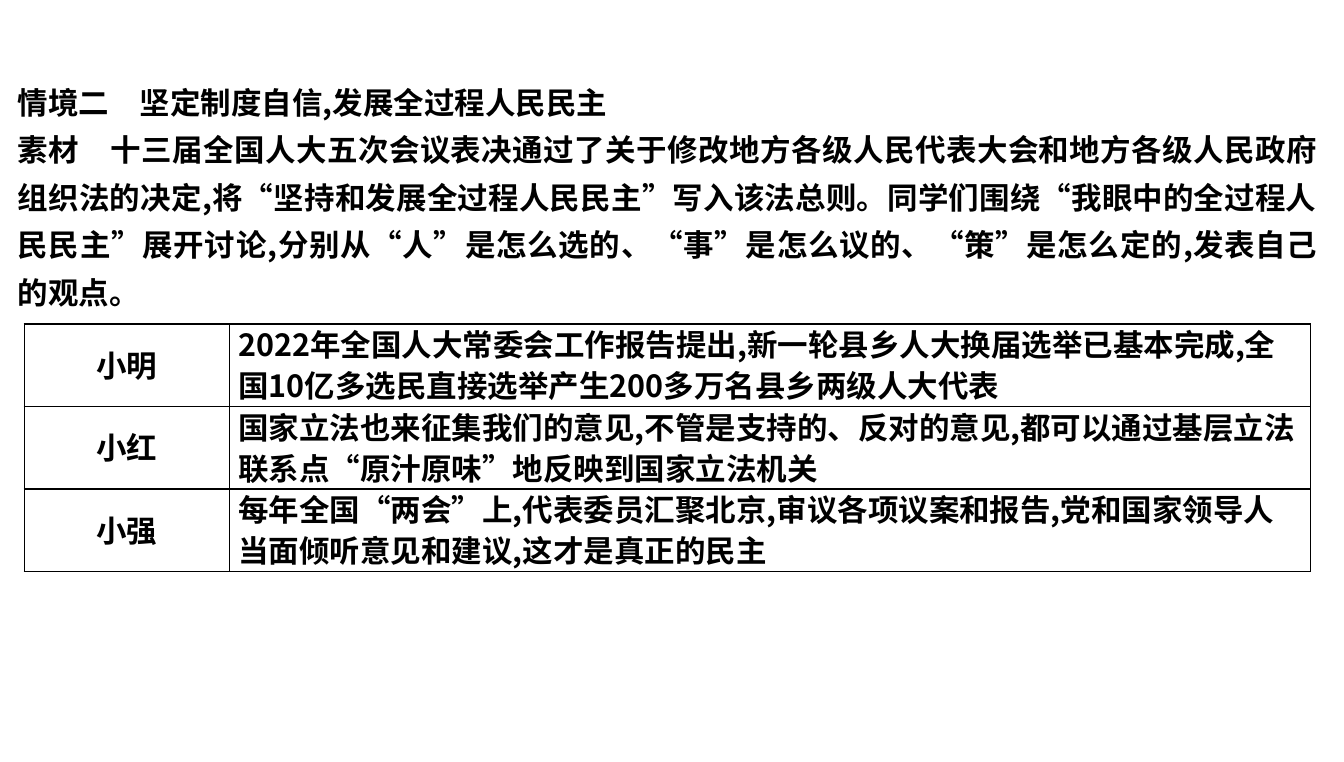
from lxml.etree import SubElement
from pptx import Presentation
from pptx.dml.color import RGBColor
from pptx.enum.text import MSO_ANCHOR as Anchor, PP_ALIGN as Align
from pptx.oxml.ns import qn
from pptx.util import Pt

HEADING = "情境二　坚定制度自信,发展全过程人民民主"
MATERIAL = (
    "素材　十三届全国人大五次会议表决通过了关于修改地方各级人民代表大会和地方各级人民政府组织法的决定,"
    "将“坚持和发展全过程人民民主”写入该法总则。同学们围绕“我眼中的全过程人民民主”展开讨论,"
    "分别从“人”是怎么选的、“事”是怎么议的、“策”是怎么定的,发表自己的观点。"
)
OPINIONS = [
    ("小明", "2022年全国人大常委会工作报告提出,新一轮县乡人大换届选举已基本完成,"
             "全国10亿多选民直接选举产生200多万名县乡两级人大代表"),
    ("小红", "国家立法也来征集我们的意见,不管是支持的、反对的意见,"
             "都可以通过基层立法联系点“原汁原味”地反映到国家立法机关"),
    ("小强", "每年全国“两会”上,代表委员汇聚北京,审议各项议案和报告,"
             "党和国家领导人当面倾听意见和建议,这才是真正的民主"),
]
COLORS = {"text": "000000", "border": "000000", "page": "FFFFFF"}
FONT = "Noto Sans CJK SC"
SLIDE_SIZE = (793.44, 450)
HEADING_BOX = (3.4, 39.5, 748, 31.7)
MATERIAL_BOX = (3.4, 67.6, 781.5, 116.6)
TABLE_LEFT, TABLE_TOP = 14.4, 191.4
COLUMN_WIDTHS = (121, 638.2)
ROW_HEIGHT = 48.7
TEXT_PITCH, TABLE_PITCH = 28, 24.3


def write(frame, words, align, pitch):
    frame.word_wrap = True
    paragraph = frame.paragraphs[0]
    paragraph.text = words
    paragraph.alignment = align
    paragraph.line_spacing = Pt(pitch)
    paragraph.space_before = Pt(0)
    font = paragraph.font
    font.size, font.bold, font.name = Pt(18), True, FONT
    font.color.rgb = RGBColor.from_string(COLORS["text"])
    defaults = paragraph._p.pPr.find(qn("a:defRPr"))
    SubElement(defaults, qn("a:ea"), typeface=FONT)


def place_text(shape, box, words, align):
    shape.left, shape.top, shape.width, shape.height = map(Pt, box)
    frame = shape.text_frame
    frame.vertical_anchor = Anchor.TOP
    frame.margin_left = frame.margin_right = Pt(7.2)
    frame.margin_top = frame.margin_bottom = Pt(3.6)
    write(frame, words, align, TEXT_PITCH)


def add_borders(cell):
    properties = cell._tc.get_or_add_tcPr()
    for side in ("lnL", "lnR", "lnT", "lnB"):
        line = SubElement(properties, qn(f"a:{side}"), w=str(Pt(1)))
        fill = SubElement(line, qn("a:solidFill"))
        SubElement(fill, qn("a:srgbClr"), val=COLORS["border"])


def add_opinions(slide):
    table = slide.shapes.add_table(
        len(OPINIONS), len(COLUMN_WIDTHS), Pt(TABLE_LEFT), Pt(TABLE_TOP),
        Pt(sum(COLUMN_WIDTHS)), Pt(ROW_HEIGHT * len(OPINIONS))).table
    table.first_row = table.horz_banding = False
    for column, width in zip(table.columns, COLUMN_WIDTHS):
        column.width = Pt(width)
    for row, opinion in zip(table.rows, OPINIONS):
        row.height = Pt(ROW_HEIGHT)
        for cell, words, align in zip(row.cells, opinion, (Align.CENTER, Align.LEFT)):
            add_borders(cell)
            cell.fill.solid()
            cell.fill.fore_color.rgb = RGBColor.from_string(COLORS["page"])
            cell.margin_left = cell.margin_right = Pt(5.4)
            cell.margin_top = cell.margin_bottom = Pt(0)
            cell.vertical_anchor = Anchor.MIDDLE
            write(cell.text_frame, words, align, TABLE_PITCH)


def main():
    deck = Presentation()
    deck.slide_width, deck.slide_height = map(Pt, SLIDE_SIZE)
    slide = deck.slides.add_slide(deck.slide_layouts[5])
    place_text(slide.shapes.title, HEADING_BOX, HEADING, Align.LEFT)
    material = slide.shapes.add_textbox(*map(Pt, MATERIAL_BOX))
    place_text(material, MATERIAL_BOX, MATERIAL, Align.JUSTIFY)
    add_opinions(slide)
    deck.save("out.pptx")


if __name__ == "__main__":
    main()
